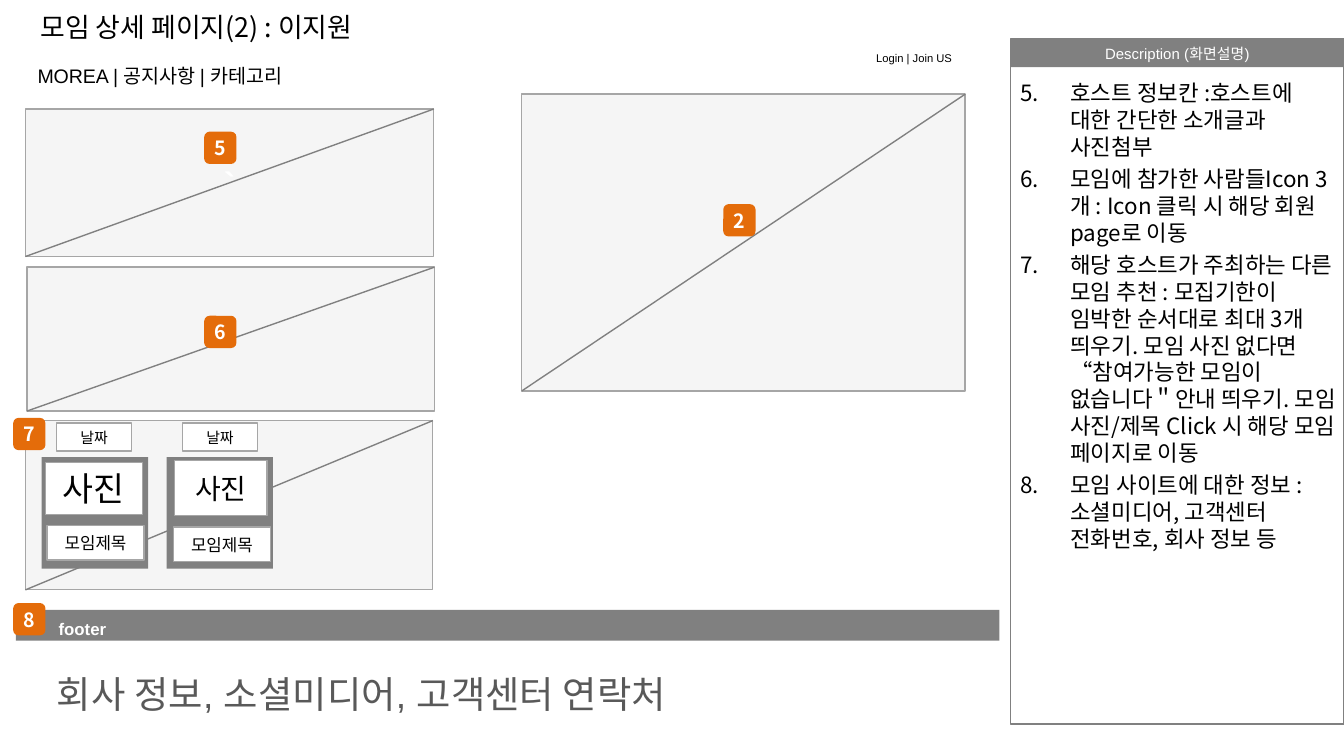
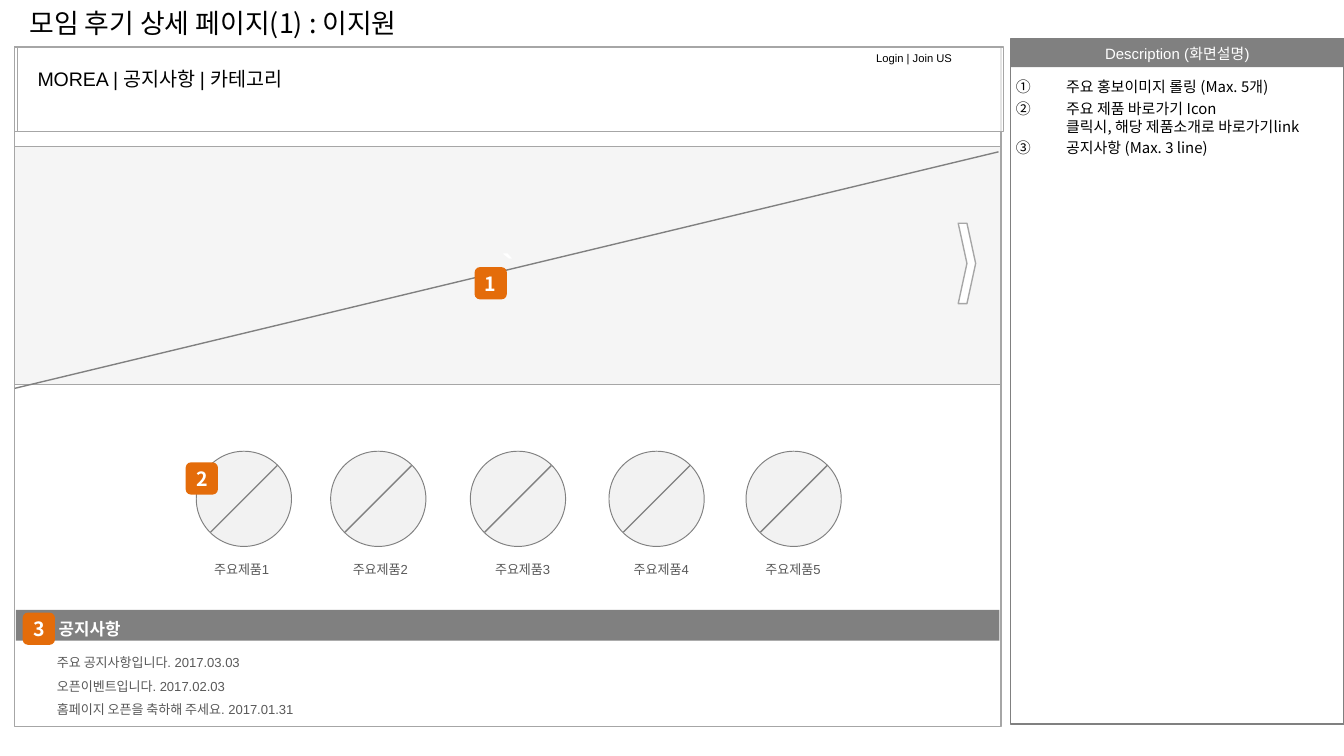
from lxml.etree import SubElement
from pptx import Presentation
from pptx.dml.color import RGBColor as Rgb
from pptx.enum.shapes import MSO_CONNECTOR as Conn, MSO_SHAPE as Kind
from pptx.enum.text import MSO_ANCHOR as Anchor, PP_ALIGN as Align
from pptx.oxml.ns import qn
from pptx.util import Cm, Pt

HUES = {
    "white": "FFFFFF", "black": "000000", "pale": "F2F2F2", "edge": "A6A6A6",
    "gray": "808080", "text": "595959", "mark": "E46C0A",
}
SANS, KOR = "Arial", "Noto Sans CJK KR"
NAV = "MOREA | 공지사항 | 카테고리"


def hue(name):
    return Rgb.from_string(HUES[name])


def add_run(para, text, size, font=KOR, color="black", bold=False):
    """Add a run, with a line break at each newline."""
    for i, part in enumerate(text.split("\n")):
        if i:
            para.add_line_break()
        run = para.add_run()
        run.text = part
        run.font.size, run.font.name, run.font.bold = Pt(size), font, bold
        run.font.color.rgb = hue(color)
        SubElement(run._r.get_or_add_rPr(), qn("a:ea"), typeface=KOR)


def add_box(shapes, kind, area, fill=None, line=None, alpha=None, width=0.75):
    box = shapes.add_shape(kind, *map(Cm, area))
    box.shadow.inherit = False
    if fill:
        box.fill.solid()
        box.fill.fore_color.rgb = hue(fill)
        if alpha:
            clr = box._element.spPr.find(qn("a:solidFill"))[0]
            SubElement(clr, qn("a:alpha"), val=str(alpha * 1000))
    else:
        box.fill.background()
    if line:
        box.line.color.rgb = hue(line)
        box.line.width = Pt(width)
    else:
        box.line.fill.background()
    return box


def put_text(box, text, size, align=Align.CENTER, **style):
    frame = box.text_frame
    frame.word_wrap = True
    frame.vertical_anchor = Anchor.MIDDLE
    para = frame.paragraphs[0]
    para.alignment = align
    add_run(para, text, size, **style)


def add_line(shapes, x1, y1, x2, y2):
    line = shapes.add_connector(Conn.STRAIGHT, Cm(x1), Cm(y1), Cm(x2), Cm(y2))
    line.line.color.rgb = hue("gray")
    line.line.width = Pt(0.75)
    SubElement(line._element.spPr, qn("a:effectLst"))


def add_frame(slide, area, slash=None):
    """Image stand-in: a pale box crossed by a diagonal."""
    x, y, w, h = area
    shapes = slide.shapes.add_group_shape().shapes
    box = add_box(shapes, Kind.RECTANGLE, area, "pale", "edge", 70)
    put_text(box, "`", 18, font=SANS, color="white", bold=True)
    add_line(shapes, *(slash or (x + w, y, x, y + h)))


def add_disc(slide, x, y, size=1.8, inset=0.27):
    shapes = slide.shapes.add_group_shape().shapes
    add_box(shapes, Kind.OVAL, (x, y, size, size), "pale", "gray", width=0.5)
    far = size - inset
    add_line(shapes, x + far, y + inset, x + inset, y + far)


def add_badge(slide, num, x, y):
    box = add_box(slide.shapes, Kind.ROUNDED_RECTANGLE, (x, y, 0.61, 0.61), "mark")
    frame = box.text_frame
    frame.margin_left = frame.margin_right = 0
    put_text(box, str(num), 10.5, color="white", bold=True)


def add_tile(slide, area, text, size):
    box = add_box(slide.shapes, Kind.RECTANGLE, area, "white", "edge")
    put_text(box, text, size)


def add_label(slide, area, text, size, color="text", bold=False):
    box = add_box(slide.shapes, Kind.ROUNDED_RECTANGLE, area)
    box.adjustments[0] = 0.1
    put_text(box, text, size, Align.LEFT, font=SANS, color=color, bold=bold)
    return box


def add_notes(slide, width, lines, size):
    """Lines of text below the gray band."""
    box = add_label(slide, (0.79, 12.24, width, 1.3), lines[0], size)
    frame = box.text_frame
    for text in lines[1:]:
        add_run(frame.add_paragraph(), text, size, SANS, "text")
    for para in frame.paragraphs:
        para.alignment = Align.LEFT
        para.line_spacing = 1.5


def add_link(slide, area, text, size):
    box = slide.shapes.add_textbox(*map(Cm, area))
    box.text_frame.word_wrap = False
    add_run(box.text_frame.paragraphs[0], text, size, SANS)


def add_menu(slide, top):
    add_link(slide, (0.46, top, 5.59, 0.71), NAV, 10.5)
    add_link(slide, (16.31, 0.84, 1.98, 0.51), "Login | Join US", 6)


def add_band(slide, text):
    add_box(slide.shapes, Kind.RECTANGLE, (0.3, 11.53, 18.59, 0.58), "gray")
    add_label(slide, (0.84, 11.56, 1.98, 0.64), text, 9, "white", True)


def add_list(slide, area, items, size, **number):
    """Numbered description inside the side panel."""
    frame = slide.shapes.add_textbox(*map(Cm, area)).text_frame
    frame.word_wrap = True
    frame.margin_left, frame.margin_right = Cm(0.1), 0
    for i, text in enumerate(items):
        para = frame.add_paragraph() if i else frame.paragraphs[0]
        if i:
            para.space_before = Pt(size * 0.24)
        props = para._p.get_or_add_pPr()
        props.set("marL", str(Cm(0.95)))
        props.set("indent", str(-Cm(0.95)))
        SubElement(props, qn("a:buAutoNum"), **number)
        add_run(para, text, size)


def add_page(deck, title, left, top):
    """Slide with its title and the side panel."""
    slide = deck.slides.add_slide(deck.slide_layouts[5])
    head = slide.shapes.title
    head.left, head.top, head.width, head.height = map(Cm, (left, top, 15.01, 0.81))
    put_text(head, title, 14.4, Align.LEFT)
    bar = add_box(slide.shapes, Kind.RECTANGLE, (19.1, 0.74, 6.3, 0.53), "gray")
    put_text(bar, "Description (화면설명)", 8, font=SANS, color="white")
    add_box(slide.shapes, Kind.RECTANGLE, (19.1, 0.74, 6.3, 12.95), line="gray")
    return slide


def add_detail(deck):
    slide = add_page(deck, "모임 상세 페이지(2) : 이지원", 0.51, 0.1)
    add_list(slide, (19.18, 1.37, 6.12, 12.4), [
        "호스트 정보칸 :호스트에 대한 간단한 소개글과 사진첨부",
        "모임에 참가한 사람들Icon 3개 : Icon 클릭 시 해당 회원 page로 이동",
        "해당 호스트가 주최하는 다른 모임 추천 : 모집기한이 임박한 순서대로 "
        "최대 3개 띄우기. 모임 사진 없다면 “참여가능한 모임이 없습니다＂안내 "
        "띄우기. 모임 사진/제목 Click 시 해당 모임 페이지로 이동",
        "모임 사이트에 대한 정보 : 소셜미디어, 고객센터 전화번호, 회사 정보 등",
    ], 12, type="arabicPeriod", startAt="5")
    add_menu(slide, 1.09)
    add_band(slide, "footer")
    add_notes(slide, 17.09, ["회사 정보, 소셜미디어, 고객센터 연락처"], 20)

    # Image areas
    for area in ((0.48, 2.06, 7.72, 2.79), (9.86, 1.78, 8.38, 5.61),
                 (0.51, 5.05, 7.7, 2.72), (0.48, 7.95, 7.7, 3.2)):
        add_frame(slide, area)

    # Cards of suggested meetings
    for x, photo, name, date in (
        (0.79, (0.86, 8.74, 1.83, 0.99, 18), (0.89, 9.93), 1.07),
        (3.15, (3.3, 8.71, 1.75, 1.04, 15), (3.28, 9.96), 3.45),
    ):
        add_box(slide.shapes, Kind.RECTANGLE, (x, 8.64, 2.01, 2.11), "gray")
        add_tile(slide, photo[:4], "사진", photo[4])
        add_tile(slide, (*name, 1.83, 0.66), "모임제목", 9)
        add_tile(slide, (date, 8, 1.42, 0.53), "날짜", 8)

    for num, x, y in ((2, 13.67, 3.86), (5, 3.86, 2.49), (6, 3.86, 5.97),
                      (7, 0.25, 7.9), (8, 0.25, 11.4)):
        add_badge(slide, num, x, y)


def add_review(deck):
    slide = add_page(deck, "모임 후기 상세 페이지(1) : 이지원", 0.3, 0.03)
    add_list(slide, (19.1, 1.35, 6.3, 12.4), [
        "주요 홍보이미지 롤링 (Max. 5개)",
        "주요 제품 바로가기 Icon\n클릭시, 해당 제품소개로 바로가기link",
        "공지사항 (Max. 3 line)",
    ], 8, type="circleNumDbPlain")

    # Page outline and rolling banner
    add_box(slide.shapes, Kind.RECTANGLE, (0.28, 0.89, 18.64, 12.85), "white", "edge", 70)
    add_frame(slide, (0.28, 2.77, 18.64, 4.5), (18.87, 2.87, 0.28, 7.34))
    add_box(slide.shapes, Kind.CHEVRON, (18.11, 4.22, 0.33, 1.52), "white", "edge")

    # Header
    for x in (0.28, 0.33):
        add_box(slide.shapes, Kind.RECTANGLE, (x, 0.89, 18.64, 1.6), "white", "edge", 70)
    add_menu(slide, 1.14)

    # Products
    spots = ((3.71, 3.78), (6.25, 6.4), (8.89, 9.09), (11.51, 11.71), (14.1, 14.2))
    for num, (x, left) in enumerate(spots, 1):
        add_disc(slide, x, 8.53)
        add_label(slide, (left, 10.44, 1.98, 0.64), f"주요제품{num}", 7)

    # Notices
    add_band(slide, "공지사항")
    add_notes(slide, 10.69, [
        "주요 공지사항입니다. 2017.03.03",
        "오픈이벤트입니다. 2017.02.03",
        "홈페이지 오픈을 축하해 주세요. 2017.01.31",
    ], 7)

    for num, x, y in ((2, 3.51, 8.74), (1, 8.97, 5.05), (3, 0.43, 11.58)):
        add_badge(slide, num, x, y)


def main():
    deck = Presentation()
    deck.slide_width, deck.slide_height = Cm(25.4), Cm(14.29)
    add_detail(deck)
    add_review(deck)
    deck.save("out.pptx")


if __name__ == "__main__":
    main()
